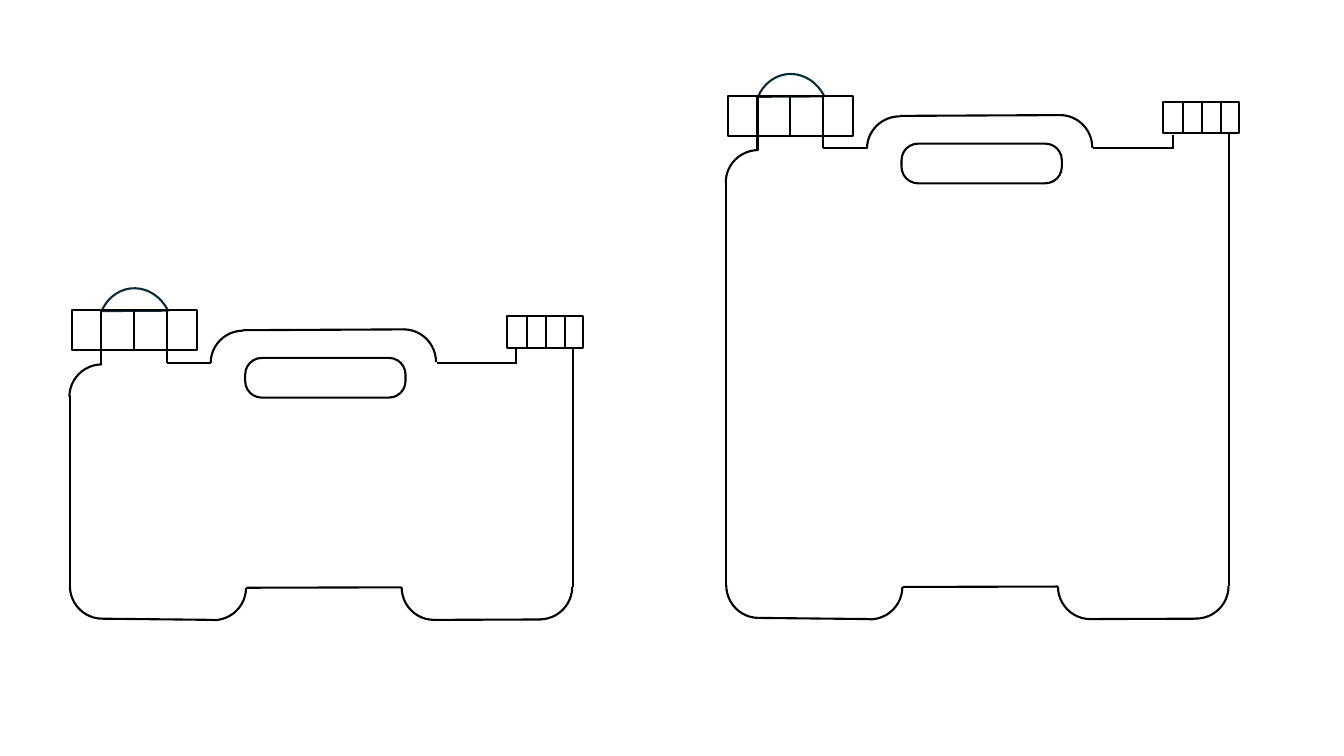
from dataclasses import dataclass
from pptx import Presentation
from pptx.dml.color import RGBColor
from pptx.enum.shapes import MSO_CONNECTOR as Link, MSO_SHAPE as Form
from pptx.oxml.ns import qn
from pptx.util import Cm, Pt
from lxml.etree import SubElement


@dataclass
class Theme:
    ink: RGBColor = RGBColor(0, 0, 0)
    dome: RGBColor = RGBColor(0x09, 0x2A, 0x39)
    line: float = 1.5
    arc: tuple = (1.63, 1.65)


THEME = Theme()


class Pen:
    """Draws outlines in centimetres from a local origin."""

    def __init__(self, shapes, left, top):
        self.shapes, self.left, self.top = shapes, left, top

    def line(self, x1, y1, x2, y2):
        link = self.shapes.add_connector(
            Link.STRAIGHT,
            Cm(self.left + x1), Cm(self.top + y1),
            Cm(self.left + x2), Cm(self.top + y2))
        link.line.color.rgb = THEME.ink
        link.line.width = Pt(THEME.line)
        SubElement(link._element.spPr, qn("a:effectLst"))

    def shape(self, form, x, y, wide, high, turn=0, adjust=(), ink=THEME.ink):
        shape = self.shapes.add_shape(
            form, Cm(self.left + x), Cm(self.top + y), Cm(wide), Cm(high))
        shape.rotation = turn
        for i, value in enumerate(adjust):
            shape.adjustments[i] = value
        shape.fill.background()
        shape.line.color.rgb = ink
        shape.line.width = Pt(THEME.line)
        shape.shadow.inherit = False

    def arc(self, x, y, turn=0):
        self.shape(Form.ARC, x, y, *THEME.arc, turn)

    def cap(self, x, y, wide, high, first, step):
        """A screw cap with three upright ribs."""
        self.shape(Form.RECTANGLE, x, y, wide, high)
        for i in range(3):
            rib = first + i * step
            self.line(rib, y, rib, y + high)


def draw_top(pen):
    # Main cap with dome
    pen.shape(Form.CHORD, 0.71, -0.56, 1.88, 2.11, 173,
              (21.762, 93.788), THEME.dome)
    pen.cap(0.05, 0, 3.15, 1, 0.79, 0.83)
    # Neck and left shoulder
    pen.line(0.79, 1.02, 0.79, 1.35)
    pen.line(2.44, 1.02, 2.44, 1.32)
    pen.line(2.44, 1.32, 3.56, 1.32)
    pen.arc(0, 1.35, 270)
    # Handle
    pen.arc(3.56, 0.5, 270)
    pen.line(4.37, 0.5, 8.43, 0.48)
    pen.arc(7.6, 0.48)
    pen.shape(Form.ROUNDED_RECTANGLE, 4.42, 1.2, 4.04, 1, adjust=(0.417,))
    # Right shoulder and small cap
    pen.line(9.25, 1.32, 11.28, 1.32)
    pen.line(11.25, 0.97, 11.25, 1.32)
    pen.cap(11.02, 0.15, 1.91, 0.79, 11.51, 0.48)


def draw_base(pen):
    # Two feet
    for x, y, turn in ((0, -1.68, 180), (2.8, -1.63, 90),
                       (8.36, -1.65, 180), (11.02, -1.65, 90)):
        pen.arc(x, y, turn)
    pen.line(0.81, -0.03, 3.63, 0)
    pen.line(9.17, 0, 11.86, -0.01)
    # Recess between the feet
    pen.line(4.45, -0.81, 8.36, -0.82)


def draw_can(shapes, left, top, base):
    pen = Pen(shapes, left, top)
    draw_top(pen)
    draw_base(Pen(shapes, left, base))
    # Sides
    tall = base - top - 0.84
    pen.line(0, 2.16, 0, tall)
    pen.line(12.67, 0.94, 12.67, tall)


def main():
    deck = Presentation()
    deck.slide_width, deck.slide_height = Cm(33.87), Cm(19.05)
    slide = deck.slides.add_slide(deck.slide_layouts[6])
    draw_can(slide.shapes, 1.76, 7.82, 15.62)
    draw_can(slide.shapes, 18.3, 2.42, 15.6)
    deck.save("out.pptx")


if __name__ == "__main__":
    main()
